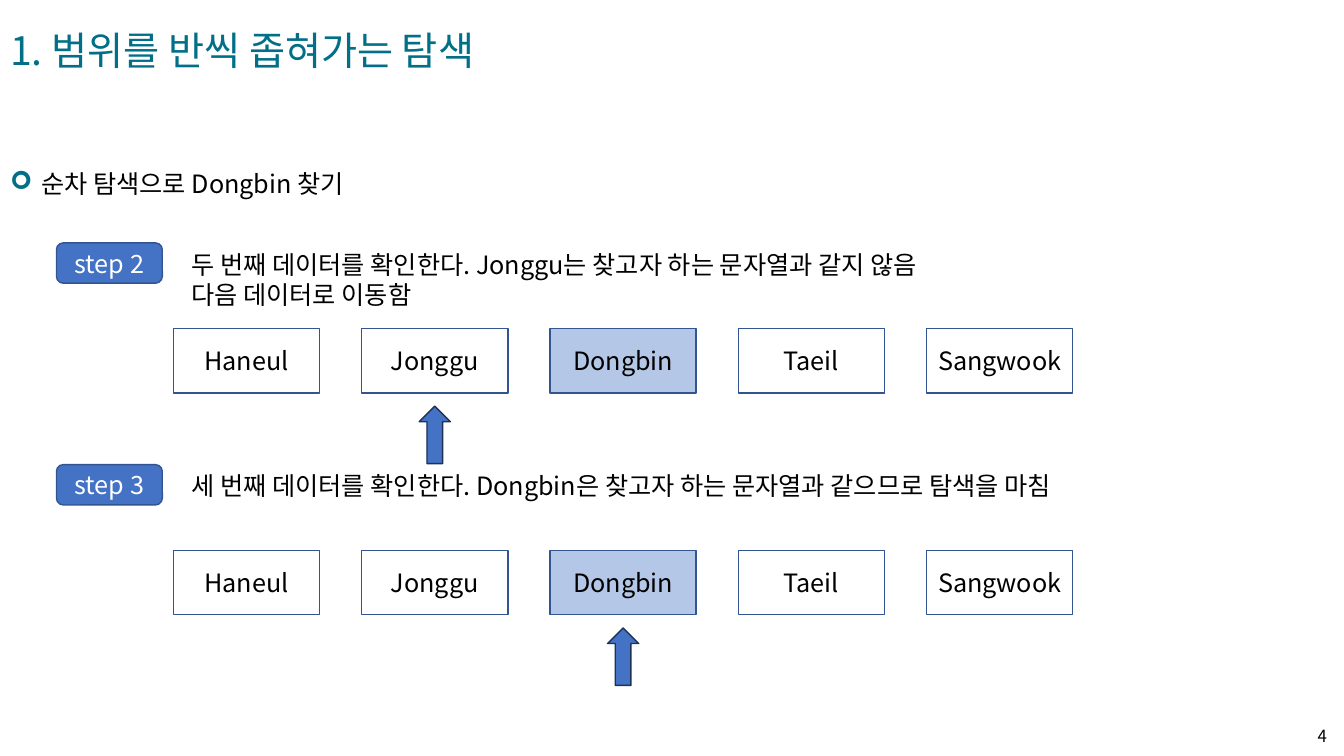
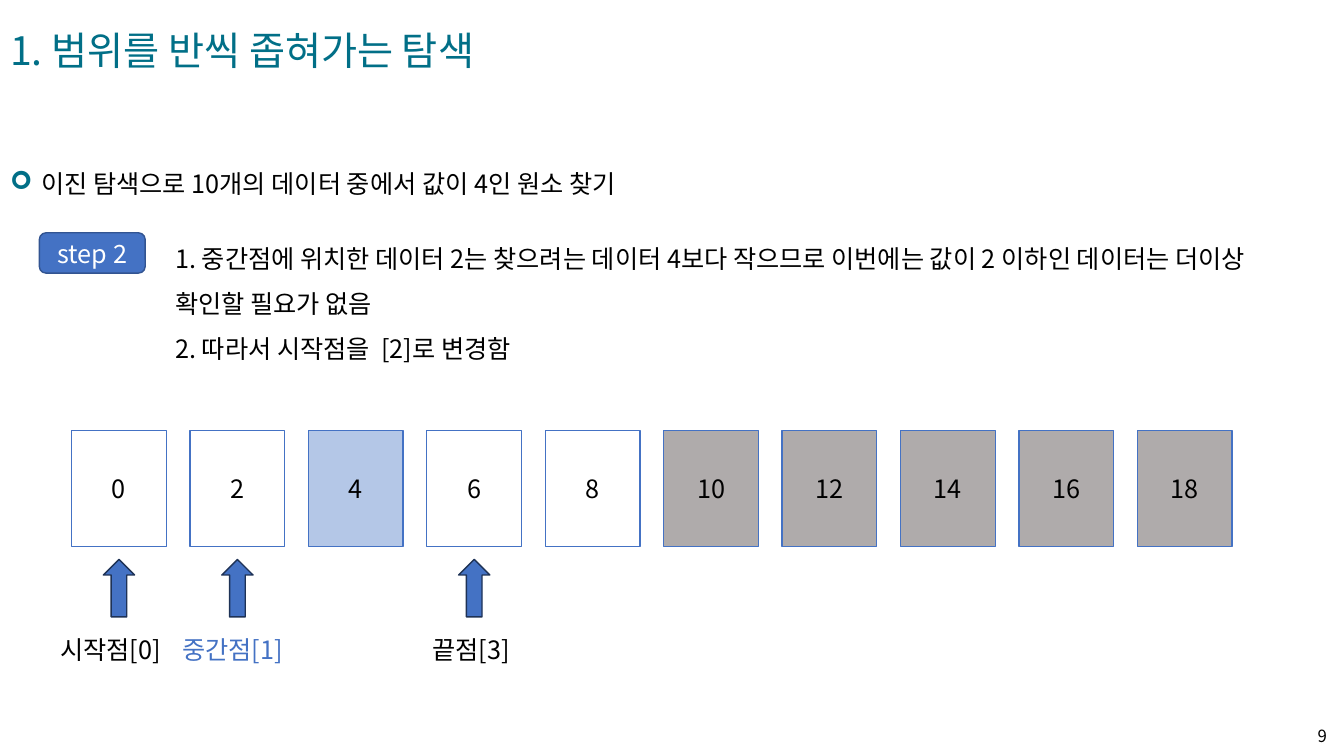
import pptx
import pptx.util
import pptx.dml.color
import pptx.enum.shapes
import pptx.enum.text
import pptx.oxml
import pptx.oxml.ns
from pptx.util import Inches

SHAPE = pptx.enum.shapes.MSO_SHAPE
ALIGN = pptx.enum.text.PP_ALIGN
ANCHOR = pptx.enum.text.MSO_ANCHOR

# Shared look
FONT = "Noto Sans CJK KR"
TEAL, BLUE, BLACK, WHITE = "016F87", "4472C4", "000000", "FFFFFF"
LIGHT_BLUE, GRAY = "B4C7E7", "AFABAB"
BOX_EDGE, ARROW_EDGE = "325491", "1E3256"
ARROW_SIZE, ARROW_GAP = (0.31, 0.57), 0.13
TITLE = "1. 범위를 반씩 좁혀가는 탐색"

# Content: positions are (left, top, width, height) in inches
NAMES = ["Haneul", "Jonggu", "Dongbin", "Taeil", "Sangwook"]
NUMBERS = [str(n) for n in range(0, 20, 2)]
NAME_FILLS = {2: LIGHT_BLUE}
NUMBER_FILLS = {2: LIGHT_BLUE, **{i: GRAY for i in range(5, 10)}}
NAME_ROW = {"cells": NAMES, "fills": NAME_FILLS, "edge": BOX_EDGE,
            "first": 1.72, "last": 9.19, "size": (1.45, 0.64)}
NUMBER_ROW = {"cells": NUMBERS, "fills": NUMBER_FILLS, "edge": BLUE,
              "first": 0.71, "last": 11.28, "size": (0.94, 1.15)}

SLIDES = [
    {"number": "4", "topic": "순차 탐색으로 Dongbin 찾기", "steps": [
        {"badge": ("step 2", 0.56, 2.41),
         "explanation": ["두 번째 데이터를 확인한다. Jonggu는 찾고자 하는 문자열과 같지 않음\v"
                         "다음 데이터로 이동함"],
         "explanation_at": (1.8, 2.42, 7.76, 0.71), "spacing": 1,
         "row": NAME_ROW, "row_top": 3.26, "pointers": [1], "labels": []},
        {"badge": ("step 3", 0.56, 4.61),
         "explanation": ["세 번째 데이터를 확인한다. Dongbin은 찾고자 하는 문자열과 "
                         "같으므로 탐색을 마침"],
         "explanation_at": (1.8, 4.62, 9.48, 0.4), "spacing": 1,
         "row": NAME_ROW, "row_top": 5.46, "pointers": [2], "labels": []},
    ]},
    {"number": "9", "topic": "이진 탐색으로 10개의 데이터 중에서 값이 4인 원소 찾기", "steps": [
        {"badge": ("step 2", 0.39, 2.31),
         "explanation": ["1. 중간점에 위치한 데이터 2는 찾으려는 데이터 4보다 작으므로 이번에는 "
                         "값이 2 이하인 데이터는 더이상 확인할 필요가 없음",
                         "2. 따라서 시작점을  [2]로 변경함"],
         "explanation_at": (1.64, 2.21, 11.46, 1.42), "spacing": 1.5,
         "row": NUMBER_ROW, "row_top": 4.27, "pointers": [0, 1, 3],
         "labels": [("시작점[0]", 0.5, 1.34, BLACK), ("중간점[1]", 1.71, 1.25, BLUE),
                    ("끝점[3]", 4.19, 1.09, BLACK)]},
    ]},
]
LABEL_TOP = 6.24


def rgb(color):
    return pptx.dml.color.RGBColor.from_string(color)


def place(shape, at):
    shape.left, shape.top, shape.width, shape.height = map(Inches, at)


def add_xml(parent, tag, **attributes):
    child = pptx.oxml.parse_xml(f'<a:{tag} {pptx.oxml.ns.nsdecls("a")}/>')
    for key, value in attributes.items():
        child.set(key, value)
    parent.append(child)
    return child


def add_bullet(paragraph, color):
    props = paragraph._p.get_or_add_pPr()
    props.set("marL", str(Inches(0.31)))
    props.set("indent", str(-Inches(0.31)))
    add_xml(add_xml(props, "buClr"), "srgbClr", val=color)
    add_xml(props, "buFont", typeface="Wingdings")
    add_xml(props, "buChar", char="➢")


def write(shape, lines, color=BLACK, size=18, align=ALIGN.LEFT, anchor=ANCHOR.TOP,
          spacing=1, wrap=True, bullet=None):
    frame = shape.text_frame
    frame.word_wrap = wrap
    frame.auto_size = pptx.enum.text.MSO_AUTO_SIZE.NONE
    frame.vertical_anchor = anchor
    for i, line in enumerate(lines):
        paragraph = frame.add_paragraph() if i else frame.paragraphs[0]
        paragraph.text = line
        paragraph.alignment = align
        paragraph.line_spacing = float(spacing)
        paragraph.space_before = pptx.util.Pt(0)
        if bullet:
            add_bullet(paragraph, bullet)
        font = paragraph.font
        font.size, font.name = pptx.util.Pt(size), FONT
        font.color.rgb = rgb(color)
        defaults = paragraph._p.pPr.find(pptx.oxml.ns.qn("a:defRPr"))
        add_xml(defaults, "ea", typeface=FONT)  # Korean glyphs


def add_text(slide, at, lines, **style):
    write(slide.shapes.add_textbox(*map(Inches, at)), lines, **style)


def add_box(slide, kind, at, fill, edge, label=None, color=BLACK):
    box = slide.shapes.add_shape(kind, *map(Inches, at))
    box.shadow.inherit = False
    box.fill.solid()
    box.fill.fore_color.rgb = rgb(fill)
    box.line.color.rgb = rgb(edge)
    box.line.width = pptx.util.Pt(1)
    if label:
        write(box, [label], color=color, align=ALIGN.CENTER, anchor=ANCHOR.MIDDLE)


def add_step(slide, step):
    # Badge and explanation
    name, left, top = step["badge"]
    add_box(slide, SHAPE.ROUNDED_RECTANGLE, (left, top, 1.05, 0.4), BLUE, BOX_EDGE, name, WHITE)
    add_text(slide, step["explanation_at"], step["explanation"], spacing=step["spacing"])

    # Row of data cells
    row, top = step["row"], step["row_top"]
    width, height = row["size"]
    pitch = (row["last"] - row["first"]) / (len(row["cells"]) - 1)
    for i, cell in enumerate(row["cells"]):
        add_box(slide, SHAPE.RECTANGLE, (row["first"] + i * pitch, top, width, height),
                row["fills"].get(i, WHITE), row["edge"], cell)

    # Pointers centred under their cells, and their labels
    for text, left, label_width, color in step["labels"]:
        add_text(slide, (left, LABEL_TOP, label_width, 0.4), [text], color=color)
    for i in step["pointers"]:
        left = row["first"] + i * pitch + (width - ARROW_SIZE[0]) / 2
        add_box(slide, SHAPE.UP_ARROW, (left, top + height + ARROW_GAP, *ARROW_SIZE),
                BLUE, ARROW_EDGE)


def add_slide(deck, content):
    slide = deck.slides.add_slide(deck.slide_layouts[1])
    title, topic = slide.placeholders[0], slide.placeholders[1]
    place(title, (0, 0.21, 4.97, 0.57))
    write(title, [TITLE], color=TEAL, size=28, wrap=False)
    place(topic, (0, 1.32, 7.31, 0.63))
    write(topic, [content["topic"]], spacing=2, bullet=TEAL)
    add_text(slide, (12.69, 7.1, 0.57, 0.4), [content["number"]], size=12,
             align=ALIGN.RIGHT, anchor=ANCHOR.MIDDLE)
    for step in content["steps"]:
        add_step(slide, step)


def main():
    deck = pptx.Presentation()
    deck.slide_width, deck.slide_height = Inches(13.33), Inches(7.5)
    for content in SLIDES:
        add_slide(deck, content)
    deck.save("out.pptx")


if __name__ == "__main__":
    main()
